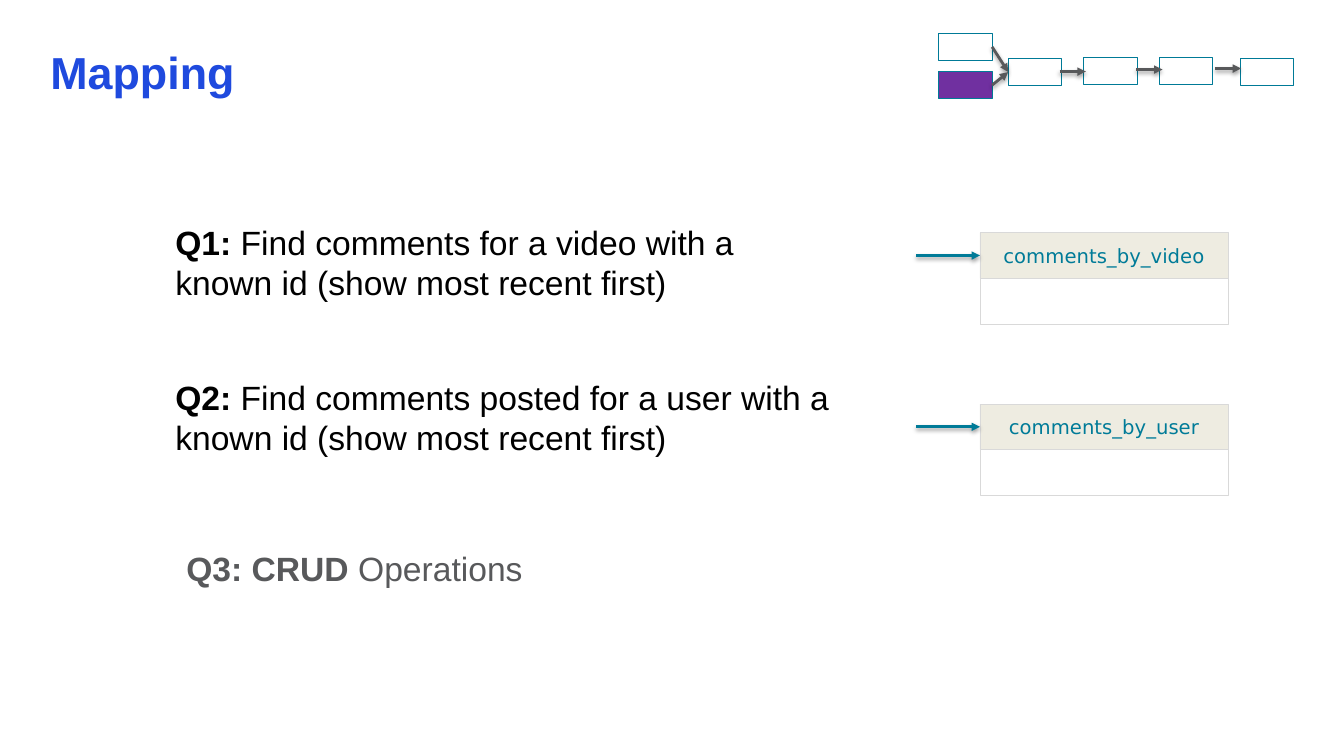
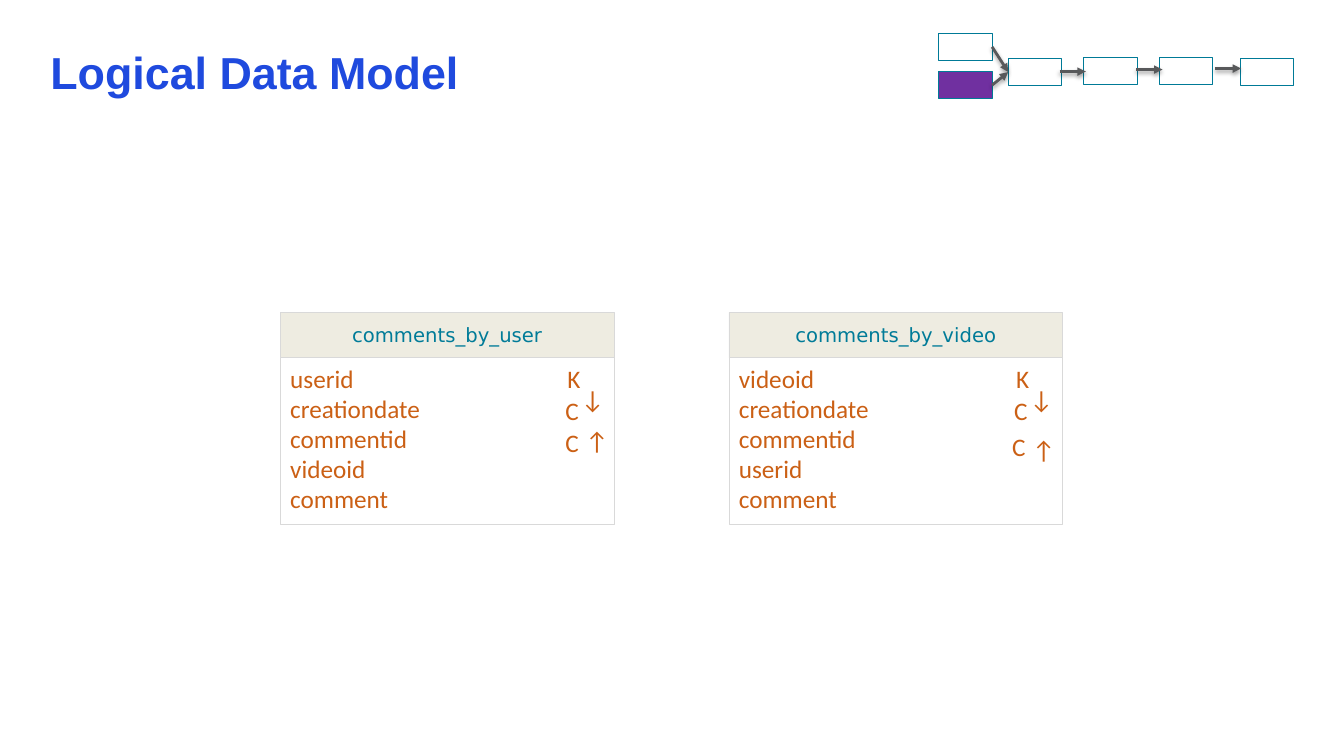
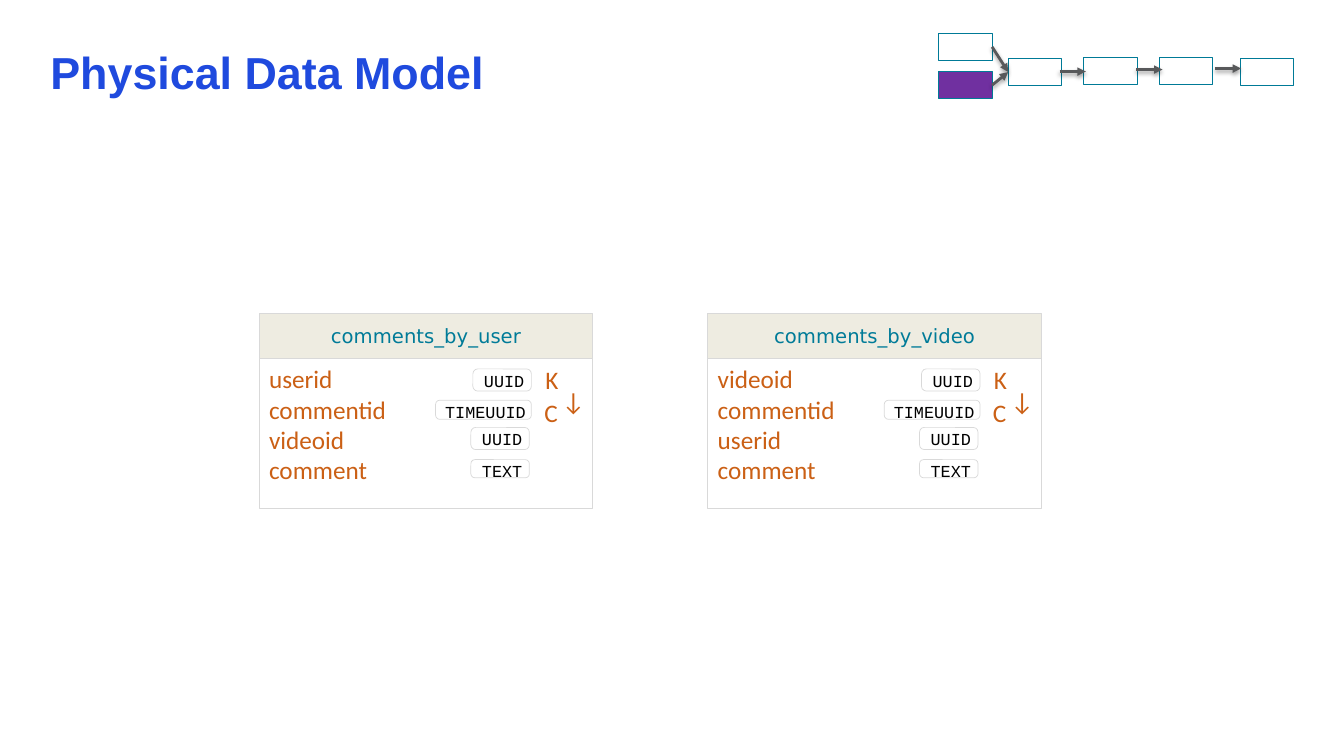
import pptx
import pptx.util
import pptx.dml.color
import pptx.enum.shapes
import pptx.enum.text
import pptx.oxml
import pptx.oxml.ns

Inches = pptx.util.Inches
Pt = pptx.util.Pt
RGBColor = pptx.dml.color.RGBColor
Shape = pptx.enum.shapes.MSO_SHAPE
Anchor = pptx.enum.text.MSO_ANCHOR
Align = pptx.enum.text.PP_ALIGN
Fit = pptx.enum.text.MSO_AUTO_SIZE

# Colours
BLUE = RGBColor(0x1F, 0x4A, 0xDE)
TEAL = RGBColor(0x00, 0x7B, 0x98)
EDGE = RGBColor(0x00, 0x7A, 0x97)
PURPLE = RGBColor(0x70, 0x30, 0xA0)
ORANGE = RGBColor(0xCB, 0x60, 0x15)
BEIGE = RGBColor(0xEE, 0xEC, 0xE1)
SILVER = RGBColor(0xD9, 0xD9, 0xD9)
GREY = RGBColor(0x58, 0x59, 0x5B)
BLACK = RGBColor(0, 0, 0)

# Text styles: font, size, colour
TITLE = ("Arial", 32, BLUE)
QUERY = ("Arial", 24, BLACK)
MUTED = ("Arial", 24, GREY)
HEAD = ("DejaVu Sans", 14, TEAL)
FIELD = ("Calibri", 18, ORANGE)
TYPE = ("Courier New", 12, BLACK)

HEAD_H = 0.45  # height of a table's header
STEP = 4.45  # distance between two tables side by side

SHADOW = (
    '<a:effectLst %s><a:outerShdw blurRad="39370" dist="20320" dir="5400000" '
    'rotWithShape="0"><a:srgbClr val="000000"><a:alpha val="38000"/></a:srgbClr>'
    '</a:outerShdw></a:effectLst>' % pptx.oxml.ns.nsdecls("a"))
TIP = '<a:tailEnd %s type="triangle"/>' % pptx.oxml.ns.nsdecls("a")


def style(par, look, align=Align.LEFT):
    par.alignment = align
    par.font.name, size, par.font.color.rgb = look
    par.font.size = Pt(size)


def box(slide, x, y, w, h, edge=SILVER, width=0.5, fill=None, kind=Shape.RECTANGLE):
    shape = slide.shapes.add_shape(kind, Inches(x), Inches(y), Inches(w), Inches(h))
    shape.shadow.inherit = False
    shape.line.color.rgb = edge
    shape.line.width = Pt(width)
    if fill is None:
        shape.fill.background()
    else:
        shape.fill.solid()
        shape.fill.fore_color.rgb = fill
    return shape


def write(shape, lines, look, align=Align.LEFT, anchor=Anchor.TOP):
    frame = shape.text_frame
    frame.text = "\n".join(lines)
    frame.word_wrap = True
    frame.vertical_anchor = anchor
    for par in frame.paragraphs:
        style(par, look, align)
    return frame


def label(slide, x, y, w, h, wrap=True):
    area = slide.shapes.add_textbox(Inches(x), Inches(y), Inches(w), Inches(h))
    area.text_frame.word_wrap = wrap
    area.text_frame.auto_size = Fit.SHAPE_TO_FIT_TEXT
    return area


def arrow(slide, start, end, color, source=None, target=None):
    line = slide.shapes.add_connector(
        pptx.enum.shapes.MSO_CONNECTOR.STRAIGHT, *map(Inches, start + end))
    if source is not None:
        line.begin_connect(source, 3)
    if target is not None:
        line.end_connect(target, 1)
    line.line.color.rgb = color
    line.line.width = Pt(2)
    props = line._element.spPr
    props.find(pptx.oxml.ns.qn("a:ln")).append(pptx.oxml.parse_xml(TIP))
    props.append(pptx.oxml.parse_xml(SHADOW))


def flow(slide):
    """Small process map at the top right."""
    places = [(9.31, 0.33), (9.31, 0.71), (10, 0.58), (10.75, 0.57),
              (11.5, 0.57), (12.3, 0.58)]
    steps = [box(slide, x, y, 0.53, 0.27, EDGE, 0.75, PURPLE if i == 1 else None)
             for i, (x, y) in enumerate(places)]
    for i, y in enumerate((0.46, 0.84)):
        arrow(slide, (9.84, y), (10, 0.71), GREY, steps[i], steps[2])
    for x, y in ((10.51, 0.71), (11.27, 0.69), (12.05, 0.68)):
        arrow(slide, (x, y), (x + 0.26, y), GREY)


def page(deck, title):
    slide = deck.slides.add_slide(deck.slide_layouts[6])
    area = slide.shapes.add_textbox(Inches(0.5), Inches(0.5), Inches(12.33), Inches(0.98))
    frame = write(area, [title], TITLE)
    frame.margin_left = frame.margin_right = frame.margin_top = frame.margin_bottom = 0
    frame.paragraphs[0].line_spacing = 0.9
    frame.paragraphs[0].font.bold = True
    flow(slide)
    return slide


def table(slide, x, y, w, h, name, fields=()):
    """Header with the table's name above a body of column names."""
    body = box(slide, x, y + HEAD_H, w, h)
    if fields:
        write(body, fields, FIELD)
    head = box(slide, x, y, w, HEAD_H, fill=BEIGE)
    write(head, [name], HEAD, Align.CENTER, Anchor.MIDDLE)
    return head


def query(slide, x, y, w, h, key, text, look=QUERY):
    par = label(slide, x, y, w, h).text_frame.paragraphs[0]
    for words, bold in ((key, True), (text, False)):
        run = par.add_run()
        run.text = words
        run.font.bold = bold
    style(par, look)


def mark(slide, x, y, sign, turn=0):
    """Key letter or sort arrow beside a column."""
    width = {"K": 0.33, "C": 0.34, "↑": 0.43}[sign]
    area = label(slide, x, y, width, 0.4, wrap=False)
    par = area.text_frame.paragraphs[0]
    par.text = sign
    style(par, FIELD)
    area.rotation = turn


def pill(slide, x, y, w, h, text):
    shape = box(slide, x, y, w, h, kind=Shape.ROUNDED_RECTANGLE)
    shape.adjustments[0] = 0.22
    frame = write(shape, [text], TYPE, Align.CENTER)
    frame.margin_left = Inches(0.04)
    frame.margin_right = frame.margin_top = frame.margin_bottom = 0


def mapping(deck):
    slide = page(deck, "Mapping")
    query(slide, 1.64, 2.15, 6.66, 0.91, "Q1: ",
          "Find comments for a video with a known id (show most recent first)")
    query(slide, 1.64, 3.69, 7.05, 0.91, "Q2: ",
          "Find comments posted for a user with a known id (show most recent first)")
    query(slide, 1.75, 5.39, 5, 0.5, "Q3: CRUD ", "Operations", MUTED)
    for y, name in ((2.31, "comments_by_video"), (4.01, "comments_by_user")):
        head = table(slide, 9.72, y, 2.46, 0.46, name)
        mid = y + HEAD_H / 2
        arrow(slide, (9.09, mid), (9.72, mid), TEAL, target=head)


def logical(deck):
    slide = page(deck, "Logical Data Model")
    # Last two values: places of the second C and of the rising arrow
    tables = [("user", "video", (2.73, 4.19), (2.93, 4.17)),
              ("video", "user", (2.71, 4.23), (2.91, 4.26))]
    for i, (key, other, last, rise) in enumerate(tables):
        x = 2.78 + i * STEP
        table(slide, x, 3.1, 3.31, 1.65, "comments_by_" + key,
              [key + "id", "creationdate", "commentid", other + "id", "comment"])
        mark(slide, x + 2.75, 3.56, "K")
        mark(slide, x + 2.73, 3.87, "C")
        mark(slide, x + 2.88, 3.81, "↑", 180)
        mark(slide, x + last[0], last[1], "C")
        mark(slide, x + rise[0], rise[1], "↑")


def physical(deck):
    slide = page(deck, "Physical Data Model")
    types = [(2.12, 3.66, 0.58, 0.22, "UUID"), (1.75, 3.97, 0.95, 0.19, "TIMEUUID"),
             (2.1, 4.24, 0.58, 0.22, "UUID"), (2.1, 4.56, 0.58, 0.18, "TEXT")]
    for i, (key, other) in enumerate((("user", "video"), ("video", "user"))):
        x = 2.57 + i * STEP
        table(slide, x, 3.11, 3.31, 1.48, "comments_by_" + key,
              [key + "id", "commentid", other + "id", "comment"])
        for left, *rest in types:
            pill(slide, x + left, *rest)
        mark(slide, x + 2.74, 3.57, "K")
        mark(slide, x + 2.73, 3.89, "C")
        mark(slide, x + 2.9, 3.83, "↑", 180)


def main():
    deck = pptx.Presentation()
    deck.slide_width = Inches(13.33)
    deck.slide_height = Inches(7.5)
    mapping(deck)
    logical(deck)
    physical(deck)
    deck.save("out.pptx")


if __name__ == "__main__":
    main()
